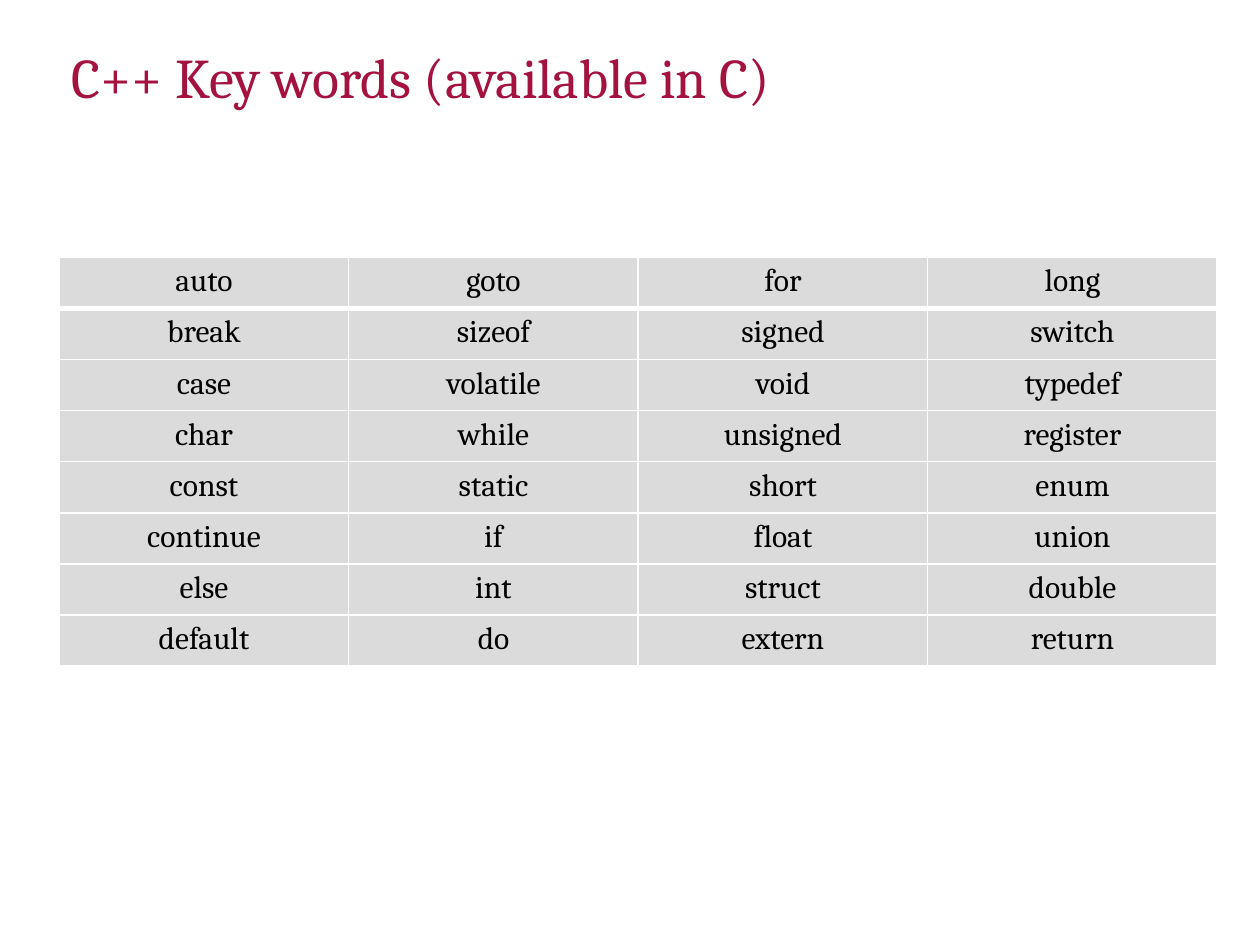
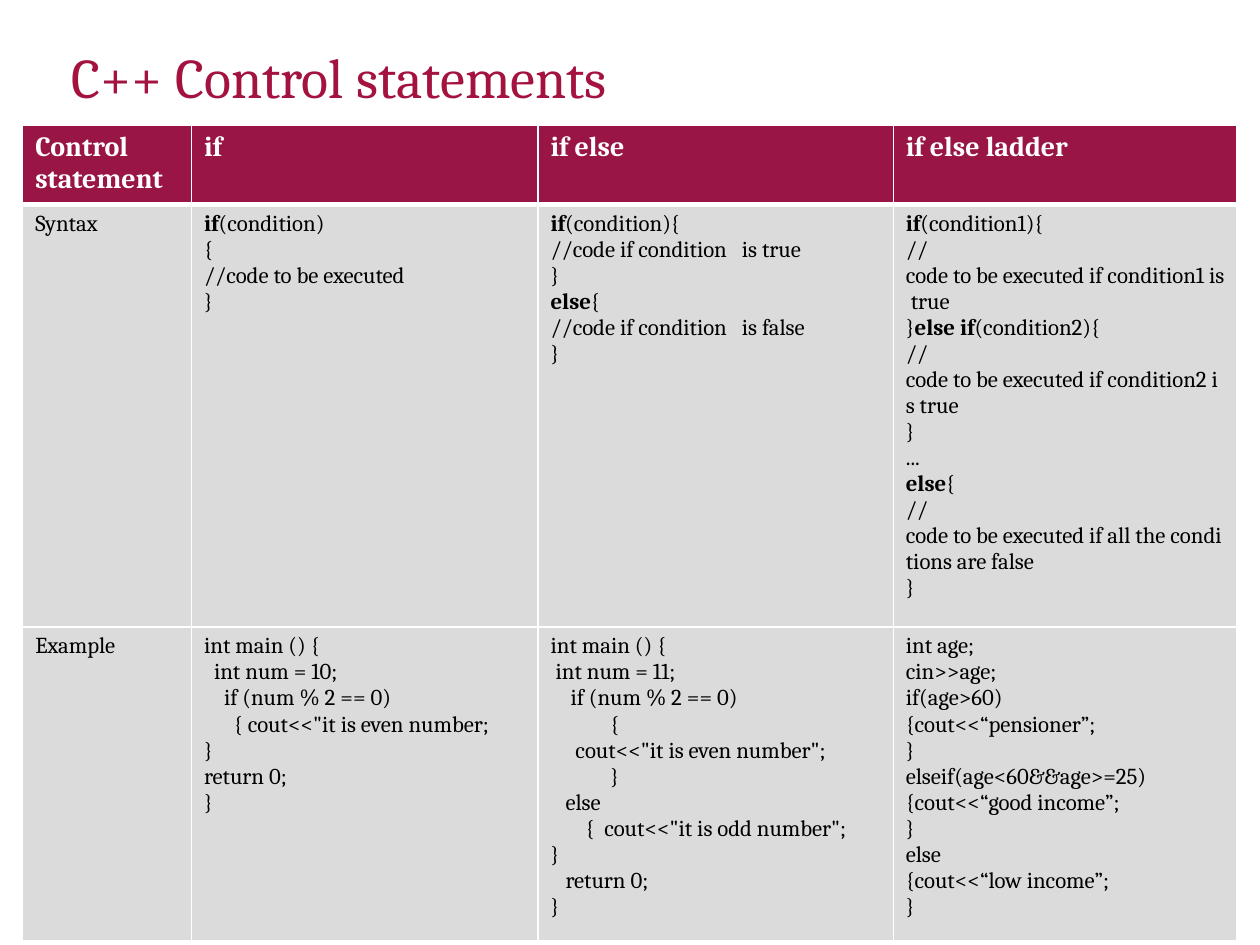
from lxml import etree
from pptx import Presentation
from pptx.dml.color import RGBColor
from pptx.enum.text import MSO_ANCHOR, PP_ALIGN
from pptx.oxml.ns import qn
from pptx.util import Inches, Pt

LEFT, CENTER = PP_ALIGN.LEFT, PP_ALIGN.CENTER
MIDDLE = MSO_ANCHOR.MIDDLE
WIDTH, HEIGHT = Inches(10), Inches(7.5)
GRID_COLUMNS, GRID_ROWS = 100, 75
HARD_SPACE = chr(160)

COLORS = {
    "title": "A4123F",
    "header": "991546",
    "cell": "DBDBDB",
    "rule": "FFFFFF",
    "light": "FFFFFF",
    "dark": "000000",
}
FONT = "Cambria"
TITLE = {"size": Pt(32), "bold": False}
KEYWORD = {"size": Pt(18), "bold": False}
HEADER = {"size": Pt(16), "bold": True}
CODE = {"size": Pt(13), "bold": False}

KEYWORDS = [
    ["auto", "goto", "for", "long"],
    ["break", "sizeof", "signed", "switch"],
    ["case", "volatile", "void", "typedef"],
    ["char", "while", "unsigned", "register"],
    ["const", "static", "short", "enum"],
    ["continue", "if", "float", "union"],
    ["else", "int", "struct", "double"],
    ["default", "do", "extern", "return"],
]

STATEMENTS = ["Control statement", "if", "if else", "if else ladder"]
SYNTAX = [
    ["Syntax"],
    ["*if*(condition)", "{", "//code to be executed", "}"],
    [
        "*if*(condition){",
        "//code if condition   is true",
        "}",
        "*else*{",
        "//code if condition   is false",
        "}",
    ],
    [
        "*if*(condition1){",
        "//code to be executed if condition1 is true",
        "}*else if*(condition2){",
        "//code to be executed if condition2 is true",
        "}",
        "...",
        "*else*{",
        "//code to be executed if all the conditions are false",
        "}",
    ],
]
EXAMPLES = [
    ["Example"],
    [
        "int main () {",
        "  int num = 10;",
        "    if (num % 2 == 0)",
        '      { cout<<"it is even number;',
        "}",
        "return 0;",
        "}",
    ],
    [
        "int main () {",
        " int num = 11;",
        "    if (num % 2 == 0)",
        "            {",
        '     cout<<"it is even number";',
        "            }",
        "   else",
        '       {  cout<<"it is odd number";',
        "}",
        "   return 0;",
        "}",
    ],
    [
        "int age;",
        "cin>>age;",
        "if(age>60)",
        "{cout<<“pensioner”;",
        "}",
        "elseif(age<60&&age>=25)",
        "{cout<<“good income”;",
        "}",
        "else",
        "{cout<<“low income”;",
        "}",
    ],
]


def across(columns):
    return round(WIDTH * columns / GRID_COLUMNS)


def down(rows):
    return round(HEIGHT * rows / GRID_ROWS)


def assign(target, values):
    for name, value in values.items():
        setattr(target, name, value)


class Painter:
    def __init__(self):
        self.deck = Presentation()
        assign(self.deck, {"slide_width": WIDTH, "slide_height": HEIGHT})
        self.page = None

    def new_page(self, title):
        self.page = self.deck.slides.add_slide(self.deck.slide_layouts[6])
        box = self.page.shapes.add_textbox(across(4.7), down(3.8), across(91.9), down(5.1))
        frame = box.text_frame
        assign(frame, {"word_wrap": True, "vertical_anchor": MIDDLE})
        self.add_lines(frame, [title], TITLE, "title", marked=False)
        frame.paragraphs[0].line_spacing = 0.9

    def add_lines(self, frame, lines, style, color, align=LEFT, marked=True):
        for index, line in enumerate(lines):
            para = frame.add_paragraph() if index else frame.paragraphs[0]
            para.alignment = align
            for part, words in enumerate(line.split("*") if marked else [line]):
                if not words:
                    continue
                span = para.add_run()
                span.text = words
                assign(span.font, {"name": FONT, **style})
                span.font.color.rgb = RGBColor.from_string(COLORS[color])
                if part % 2:
                    span.font.bold = True

    def add_grid(self, left, top, widths, heights):
        frame = self.page.shapes.add_table(
            len(heights), len(widths), across(left), down(top),
            across(sum(widths)), down(sum(heights)))
        table = frame.table
        assign(table, {"first_row": False, "horz_banding": False})
        for column, width in zip(table.columns, widths):
            column.width = across(width)
        for row, height in zip(table.rows, heights):
            row.height = down(height)
        return table

    def fill_row(self, table, index, cells, style, fill="cell", color="dark", align=LEFT):
        for cell, lines in zip(table.rows[index].cells, cells):
            self.add_borders(cell, index)
            cell.fill.solid()
            cell.fill.fore_color.rgb = RGBColor.from_string(COLORS[fill])
            self.add_lines(cell.text_frame, lines, style, color, align)

    def add_borders(self, cell, index):
        weights = {"L": 1, "R": 1, "T": 3 if index == 1 else 1, "B": 1 if index else 3}
        properties = cell._tc.get_or_add_tcPr()
        for side, weight in weights.items():
            line = etree.SubElement(properties, qn(f"a:ln{side}"), w=str(Pt(weight)))
            solid = etree.SubElement(line, qn("a:solidFill"))
            etree.SubElement(solid, qn("a:srgbClr"), val=COLORS["rule"])


def keyword_page(painter):
    painter.new_page("C++ Key words (available in C)")
    table = painter.add_grid(4.7, 20.4, [22.98] * 4, [4.06] * len(KEYWORDS))
    for index, words in enumerate(KEYWORDS):
        painter.fill_row(table, index, [[word] for word in words], KEYWORD, align=CENTER)


def control_page(painter):
    painter.new_page("C++ Control statements")
    table = painter.add_grid(1.8, 9.9, [13.4, 27.5, 28.2, 27.3], [6, 32, 23.6])
    painter.fill_row(table, 0, [[name] for name in STATEMENTS], HEADER, "header", "light")
    for index, cells in enumerate([SYNTAX, EXAMPLES], 1):
        code = [[line.replace(" ", HARD_SPACE) for line in lines] for lines in cells]
        painter.fill_row(table, index, code, CODE)


def main():
    painter = Painter()
    keyword_page(painter)
    control_page(painter)
    painter.deck.save("out.pptx")


if __name__ == "__main__":
    main()
